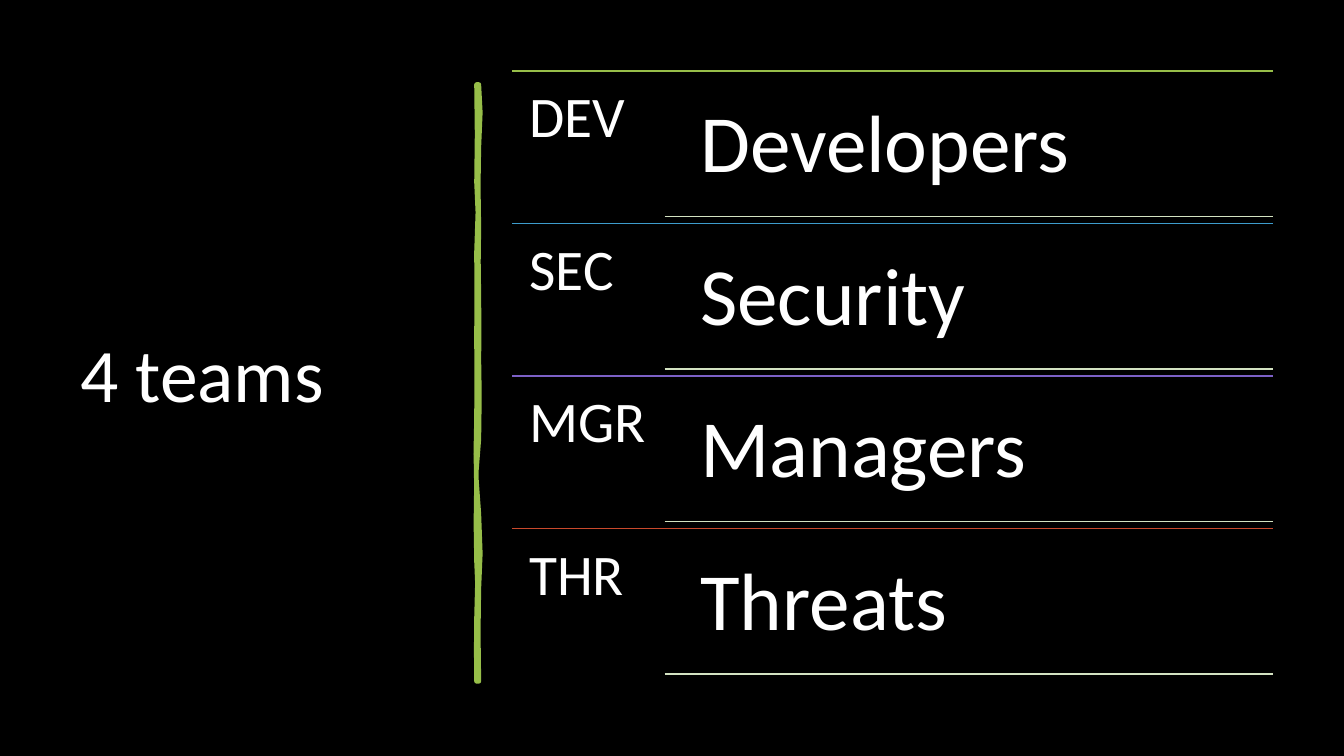
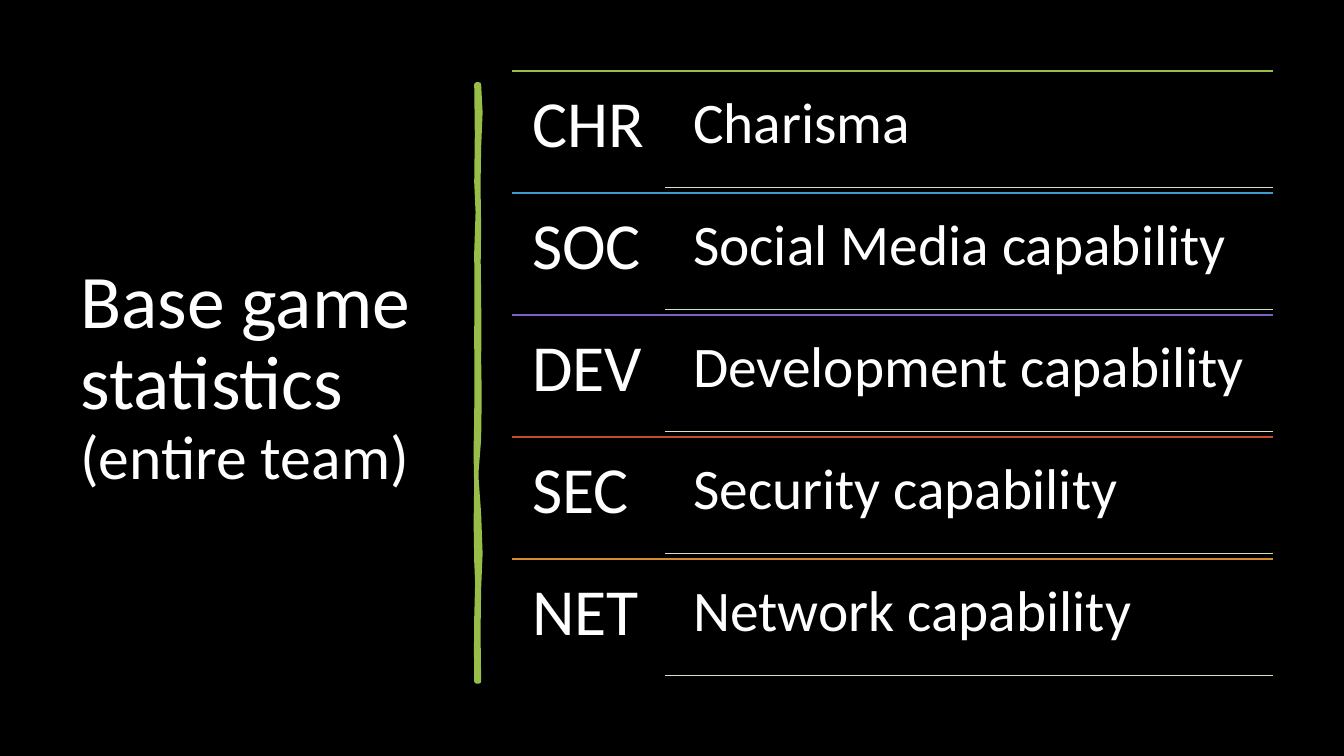
"""Builds two slides: a title on the left and a ruled list of codes on the right."""
from dataclasses import dataclass
from typing import Any, Optional

import lxml.etree
import pptx
import pptx.dml.color
import pptx.enum.shapes
import pptx.enum.text
import pptx.oxml.ns
import pptx.util
from pptx.util import Cm

FONT = "Calibri"
BLACK, WHITE, GREEN, PALE = "000000", "FFFFFF", "97BE49", "D3E2C1"
ROW_COLOURS = [GREEN, "3D9CCC", "7C60C6", "C9492C", "D58C2E"]

# List geometry in centimetres
LIST_LEFT, LIST_RIGHT, LIST_TOP, LIST_HEIGHT = 12.91, 32.08, 1.79, 15.37
CODE_WIDTH = 3.84
NAME_INDENT = 0.29
ROW_MARGIN = 0.047  # share of a row above and below its name

# Brush stroke edges: two control points and an end point per curve, in centimetres
STROKE_START = (12.07, 2.13)
STROKE_RIGHT = [
    (12.12, 2.59, 12.12, 3.02, 12.07, 3.71),
    (12.01, 4.39, 12.09, 4.95, 12.07, 5.74),
    (12.04, 6.53, 12.07, 6.65, 12.07, 7.47),
    (12.04, 8.26, 12.12, 8.69, 12.07, 9.04),
    (12.01, 9.4, 12.17, 10.52, 12.07, 11.07),
    (11.96, 11.61, 11.99, 12.29, 12.07, 12.95),
    (12.12, 13.61, 12.12, 14.33, 12.07, 14.83),
    (12.01, 15.32, 12.09, 16.51, 12.07, 17.17),
]
STROKE_LEFT_START = (12.01, 17.17)
STROKE_LEFT = [
    (12.04, 16.41, 11.96, 16.36, 12.01, 15.57),
    (12.04, 14.81, 12.04, 14.48, 12.01, 14.15),
    (11.99, 13.82, 11.99, 12.57, 12.01, 12.12),
    (12.01, 11.66, 11.96, 11.3, 12.01, 10.54),
    (12.04, 9.8, 11.99, 9.47, 12.01, 8.51),
    (12.04, 7.57, 11.99, 7.14, 12.01, 6.35),
    (12.04, 5.54, 12.07, 5.08, 12.01, 4.6),
    (11.94, 4.14, 12.12, 2.64, 12.01, 2.13),
]


@dataclass
class Row:
    """A short code and the name it stands for."""
    code: str
    name: str


@dataclass
class TextStyle:
    """Text size in points and box inset in centimetres."""
    size: int
    inset: float


@dataclass
class ListSlide:
    """The content and text styles of one slide."""
    title: str
    rows: list[Row]
    code_style: TextStyle
    name_style: TextStyle
    subtitle: Optional[str] = None


SLIDES = [
    ListSlide(
        "4 teams",
        [Row("DEV", "Developers"), Row("SEC", "Security"),
         Row("MGR", "Managers"), Row("THR", "Threats")],
        code_style=TextStyle(41, 0.43),
        name_style=TextStyle(58, 0.61),
    ),
    ListSlide(
        "Base game statistics",
        [Row("CHR", "Charisma"), Row("SOC", "Social Media capability"),
         Row("DEV", "Development capability"), Row("SEC", "Security capability"),
         Row("NET", "Network capability")],
        code_style=TextStyle(47, 0.5),
        name_style=TextStyle(41, 0.43),
        subtitle="(entire team)",
    ),
]


def colour(hex_string: str) -> pptx.dml.color.RGBColor:
    """Turn a hex string into a colour."""
    return pptx.dml.color.RGBColor.from_string(hex_string)


def write(paragraph: Any, text: str, *, size: int, text_colour: str = WHITE,
          font: str = FONT) -> None:
    """Append formatted text to a left-aligned paragraph."""
    paragraph.alignment = pptx.enum.text.PP_ALIGN.LEFT
    paragraph.line_spacing = 0.9
    run = paragraph.add_run()
    run.text = text
    run.font.name = font
    run.font.size = pptx.util.Pt(size)
    run.font.color.rgb = colour(text_colour)


def add_label(shapes: Any, text: str, left: float, top: float, width: float,
              height: float, style: TextStyle) -> None:
    """Add a wrapped text box with equal insets."""
    frame = shapes.add_textbox(Cm(left), Cm(top), Cm(width), Cm(height)).text_frame
    frame.word_wrap = True
    frame.margin_left = frame.margin_right = Cm(style.inset)
    frame.margin_top = frame.margin_bottom = Cm(style.inset)
    write(frame.paragraphs[0], text, size=style.size)


def add_rule(shapes: Any, left: float, y: float, line_colour: str) -> None:
    """Add a thin horizontal line that ends at the right edge of the list."""
    rule = shapes.add_connector(pptx.enum.shapes.MSO_CONNECTOR.STRAIGHT,
                                Cm(left), Cm(y), Cm(LIST_RIGHT), Cm(y))
    rule.line.color.rgb = colour(line_colour)
    rule.line.width = pptx.util.Pt(1)
    lxml.etree.SubElement(rule._element.spPr, pptx.oxml.ns.qn("a:effectLst"))


def add_list(slide: Any, content: ListSlide) -> None:
    """Add the ruled list as a group, its rows sharing the height equally."""
    shapes = slide.shapes.add_group_shape().shapes
    row_height = LIST_HEIGHT / len(content.rows)
    margin = row_height * ROW_MARGIN
    name_height = row_height - 2 * margin
    rule_left = LIST_LEFT + CODE_WIDTH
    name_left = rule_left + NAME_INDENT
    for index, (row, row_colour) in enumerate(zip(content.rows, ROW_COLOURS)):
        top = LIST_TOP + index * row_height
        add_rule(shapes, LIST_LEFT, top, row_colour)
        add_label(shapes, row.code, LIST_LEFT, top, CODE_WIDTH, row_height,
                  content.code_style)
        add_label(shapes, row.name, name_left, top + margin,
                  LIST_RIGHT - name_left, name_height, content.name_style)
        add_rule(shapes, rule_left, top + margin + name_height, PALE)


def edge_points(start: tuple, curves: list[tuple]) -> list[tuple]:
    """Give the start of an edge, then the middle and end of each of its curves."""
    points = [start]
    for x1, y1, x2, y2, x3, y3 in curves:
        x0, y0 = points[-1]
        points.append(((x0 + 3 * x1 + 3 * x2 + x3) / 8, (y0 + 3 * y1 + 3 * y2 + y3) / 8))
        points.append((x3, y3))
    return points


def add_brush_stroke(slide: Any) -> None:
    """Add the uneven green stroke between title and list."""
    outline = [(Cm(x), Cm(y)) for x, y in
               edge_points(STROKE_START, STROKE_RIGHT)
               + edge_points(STROKE_LEFT_START, STROKE_LEFT)]
    builder = slide.shapes.build_freeform(*outline[0])
    builder.add_line_segments(outline[1:])
    stroke = builder.convert_to_shape()
    stroke.shadow.inherit = False
    stroke.fill.solid()
    stroke.fill.fore_color.rgb = colour(GREEN)
    stroke.line.color.rgb = colour(GREEN)
    stroke.line.width = pptx.util.Pt(3.25)


def fill_title(slide: Any, content: ListSlide) -> None:
    """Write the title and, on a new line, its smaller second part."""
    frame = slide.shapes.title.text_frame
    frame.word_wrap = True
    frame.auto_size = pptx.enum.text.MSO_AUTO_SIZE.NONE
    frame.vertical_anchor = pptx.enum.text.MSO_ANCHOR.MIDDLE
    paragraph = frame.paragraphs[0]
    write(paragraph, content.title, size=54)
    if content.subtitle:
        paragraph.add_line_break()
        write(paragraph, content.subtitle, size=44)


def prepare_layout(presentation: Any) -> Any:
    """Set the shared background and title place, and return the layout."""
    background = presentation.slide_master.background.fill
    background.solid()
    background.fore_color.rgb = colour(BLACK)
    layout = presentation.slide_layouts.get_by_name("Title Only")
    title = layout.placeholders[0]
    title.left, title.top = Cm(1.77), Cm(1.76)
    title.width, title.height = Cm(9.5), Cm(15.52)
    return layout


def main() -> None:
    """Build and save the presentation."""
    presentation = pptx.Presentation()
    presentation.slide_width, presentation.slide_height = Cm(33.87), Cm(19.05)
    layout = prepare_layout(presentation)
    for content in SLIDES:
        slide = presentation.slides.add_slide(layout)
        fill_title(slide, content)
        add_brush_stroke(slide)
        add_list(slide, content)
    presentation.save("out.pptx")


main()
